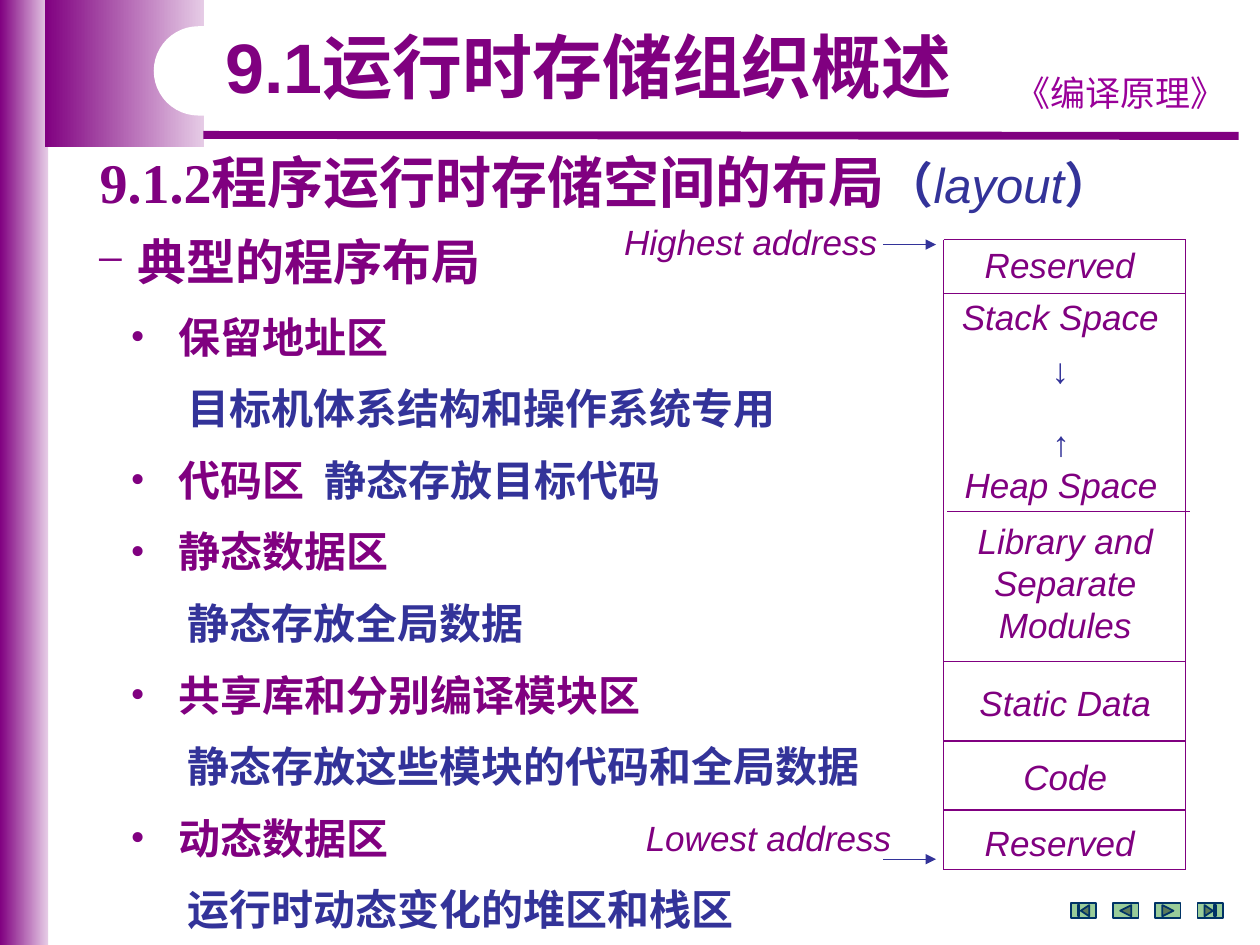
from lxml import etree
from pptx import Presentation, util as u
from pptx.dml import color
from pptx.enum import shapes, text
from pptx.oxml import ns

PURPLE, BLUE, LILAC = "800080", "333399", "E6CCE6"
CJK_FONT = "Noto Sans CJK SC"
rgb = color.RGBColor.from_string

deck = Presentation()
deck.slide_width, deck.slide_height = u.Cm(25.4), u.Cm(19.05)
slide = deck.slides.add_slide(deck.slide_layouts[6])


def write(words, place=None, paragraph=None, size=20, ink=PURPLE, font="Arial",
          bold=False, italic=False, align=text.PP_ALIGN.LEFT,
          anchor=text.MSO_ANCHOR.MIDDLE, tracking=None):
    """Add a run to the paragraph, or to a new text box at place (in cm)."""
    if paragraph is None:
        frame = slide.shapes.add_textbox(*map(u.Cm, place)).text_frame
        frame.word_wrap = True
        frame.vertical_anchor = anchor
        paragraph = frame.paragraphs[0]
        paragraph.alignment = align
    run = paragraph.add_run()
    run.text = words
    run.font.size = u.Pt(size)
    run.font.bold, run.font.italic = bold, italic
    run.font.color.rgb = rgb(ink)
    run.font.name = font
    properties = run.font._element
    etree.SubElement(properties, ns.qn("a:ea"), typeface=CJK_FONT)
    if tracking:
        properties.set("spc", str(tracking * 100))
    return paragraph


def rule(x1, y1, x2, y2, ink=PURPLE, width=0.75, arrow=False):
    line = slide.shapes.add_connector(
        shapes.MSO_CONNECTOR.STRAIGHT, *map(u.Cm, (x1, y1, x2, y2)))
    line.line.color.rgb = rgb(ink)
    line.line.width = u.Pt(width)
    if arrow:
        etree.SubElement(line.line._get_or_add_ln(), ns.qn("a:tailEnd"), type="triangle")
    etree.SubElement(line._element.spPr, ns.qn("a:effectLst"))


# Purple side band and corner with its white notch
for place in ((0, 0, 0.97, 19.05), (0.9, 0, 3.22, 2.97)):
    band = slide.shapes.add_shape(shapes.MSO_SHAPE.RECTANGLE, *map(u.Cm, place))
    band.shadow.inherit = False
    band.line.fill.background()
    band.fill.gradient()
    band.fill.gradient_angle = 0
    for stop, position, shade in zip(band.fill.gradient_stops, (0, 1), (PURPLE, LILAC)):
        stop.position = position
        stop.color.rgb = rgb(shade)
rule(4.1, 2.72, 24.97, 2.74, width=4.5)
notch = slide.shapes.add_shape(
    shapes.MSO_SHAPE.ROUNDED_RECTANGLE, *map(u.Cm, (3.1, 0.53, 9.2, 1.8)))
notch.adjustments[0] = 0.5
notch.shadow.inherit = False
notch.fill.solid()
notch.fill.fore_color.rgb = rgb("FFFFFF")
notch.line.fill.background()

# Headings
CENTER = text.PP_ALIGN.CENTER
write("《编译原理》", (20.09, 1.32, 5, 1.09), ink="990099", font="Comic Neue", align=CENTER)
title = write("9.1运行时存储组织概述", (4.29, 0.53, 15.54, 1.8), size=40, bold=True)
title.line_spacing = 0.9
section = write("9.1.2", (1.76, 2.84, 22.1, 1.63), size=32, font="Times New Roman", bold=True)
write("程序运行时存储空间的布局", paragraph=section, size=32, bold=True)
write("（", paragraph=section, size=28, ink=BLUE, font="Times New Roman", bold=True)
write("layout", paragraph=section, size=28, ink=BLUE, italic=True)
write("）", paragraph=section, size=28, ink=BLUE, font="Times New Roman", bold=True)

# Storage areas: bullet, name, description beside or below it
topic = write("典型的程序布局", (1.7, 4.45, 20, 14.38), size=28, font="Times New Roman",
              bold=True, anchor=text.MSO_ANCHOR.TOP)
topic.line_spacing = u.Pt(36)
outline = [(topic, "−", 0.83, 0.83)]
areas = [
    ("保留地址区", "目标机体系结构和操作系统专用", False),
    ("代码区", "静态存放目标代码", True),
    ("静态数据区", "静态存放全局数据", False),
    ("共享库和分别编译模块区", "静态存放这些模块的代码和全局数据", False),
    ("动态数据区", "运行时动态变化的堆区和栈区", False),
]
body = topic._parent
for area, description, beside in areas:
    entry = body.add_paragraph()
    outline.append((entry, "•", 1.65, 0.97))
    write(area, paragraph=entry, size=24, bold=True)
    if beside:
        write(" ", paragraph=entry, size=24, bold=True, tracking=6)
    else:
        entry = body.add_paragraph()
        outline.append((entry, None, 1.83, 0))
    write(description, paragraph=entry, size=24, ink=BLUE, bold=True)
for entry, bullet, margin, hanging in outline:
    if entry is not topic:
        entry.line_spacing = u.Pt(40.9)
    layout = entry._p.get_or_add_pPr()
    layout.set("marL", str(u.Cm(margin)))
    layout.set("indent", str(-u.Cm(hanging)))
    if bullet:
        tint = etree.SubElement(layout, ns.qn("a:buClr"))
        etree.SubElement(tint, ns.qn("a:srgbClr"), val=PURPLE)
        etree.SubElement(layout, ns.qn("a:buFont"), typeface="Times New Roman")
        etree.SubElement(layout, ns.qn("a:buChar"), char=bullet)

# Memory map
LEFT, RIGHT, TOP, BOTTOM = 19.02, 23.9, 4.83, 17.53
for x in (LEFT, RIGHT):
    rule(x, TOP, x, BOTTOM)
for y in (TOP, 5.92, 13.34, 14.94, 16.33, BOTTOM):
    rule(LEFT, y, RIGHT, y)
rule(19.1, 10.31, 23.98, 10.31)

for label, x, y, height in (
    ("Reserved", 19.14, 4.78, 1.09),
    ("Library and Separate Modules", 19.25, 10.34, 2.79),
    ("Static Data", 19.25, 13.61, 1.09),
    ("Code", 19.25, 15.11, 1.09),
    ("Reserved", 19.14, 16.43, 1.09),
):
    write(label, (x, y, 4.45, height), italic=True, align=CENTER)

stack = write("Stack Space", (19.05, 5.84, 4.65, 2.16), italic=True, align=CENTER,
              anchor=text.MSO_ANCHOR.TOP)
growth = stack._parent.add_paragraph()
growth.alignment = CENTER
growth.space_before = u.Pt(6)
write("↓", paragraph=growth, ink=BLUE, bold=True)
heap = write("↑", (19.08, 8.38, 4.62, 1.96), ink=BLUE, bold=True, align=CENTER,
             anchor=text.MSO_ANCHOR.TOP)
heap_name = heap._parent.add_paragraph()
heap_name.alignment = CENTER
write("Heap Space", paragraph=heap_name, italic=True)

for label, place, arrow_y in (
    ("Highest address", (12.19, 4.32, 5.89, 1.09), 4.93),
    ("Lowest address", (12.7, 16.33, 5.59, 1.09), 17.32),
):
    write(label, place, italic=True, align=CENTER)
    rule(17.81, arrow_y, 18.87, arrow_y, ink=BLUE, arrow=True)

# Navigation buttons
buttons = ("BEGINNING", "BACK_OR_PREVIOUS", "FORWARD_OR_NEXT", "END")
for index, action in enumerate(buttons):
    button = slide.shapes.add_shape(
        shapes.MSO_SHAPE["ACTION_BUTTON_" + action],
        u.Cm(21.59 + 0.85 * index), u.Cm(18.21), u.Cm(0.51), u.Cm(0.3))
    button.shadow.inherit = False
    button.fill.solid()
    button.fill.fore_color.rgb = rgb("99CC99")
    button.line.color.rgb = rgb("003366")
    button.line.width = u.Pt(1)

deck.save("out.pptx")
